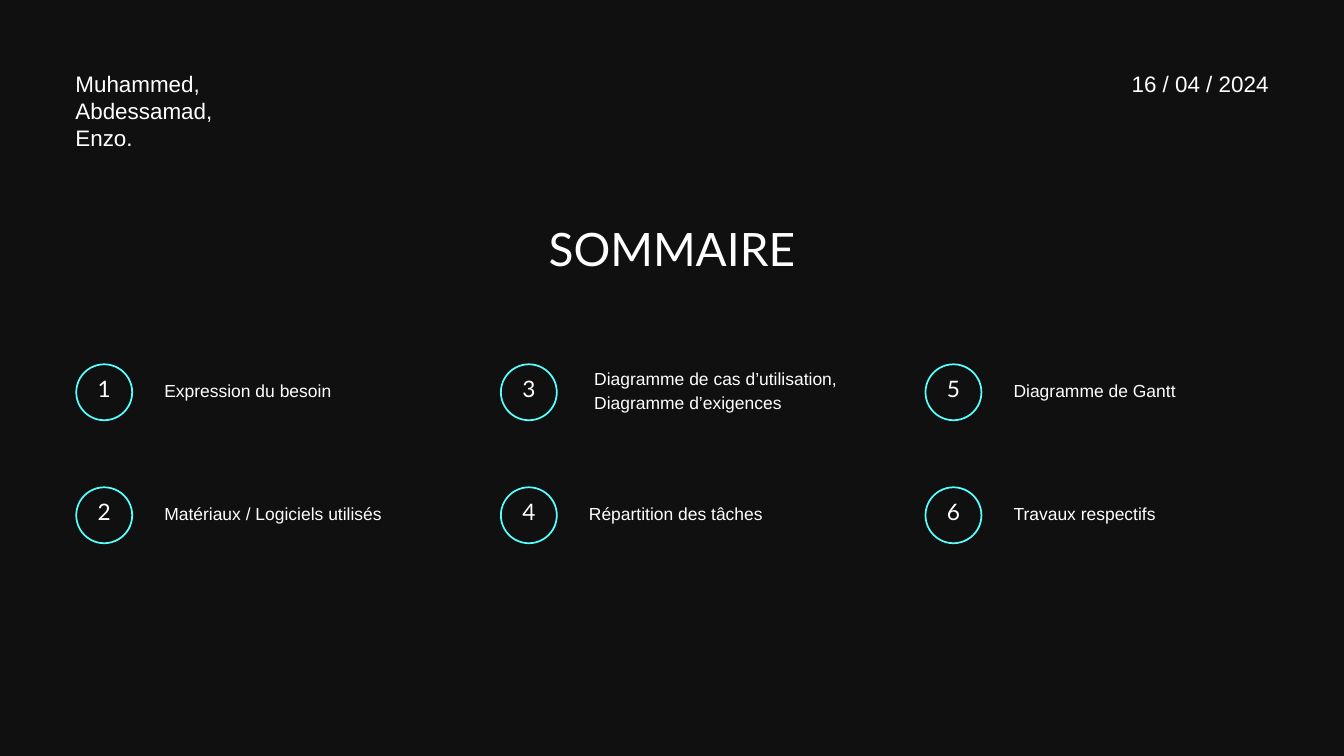
from pptx import Presentation
from pptx.dml.color import RGBColor
from pptx.enum.shapes import MSO_SHAPE
from pptx.enum.text import MSO_ANCHOR, MSO_AUTO_SIZE, PP_ALIGN
from pptx.util import Cm, Pt

TITLE = "SOMMAIRE"
AUTHORS = ["Muhammed,", "Abdessamad,", "Enzo."]
DATE = "16 / 04 / 2024"
# Lines of each topic, then its extra indent in cm
TOPICS = [
    (["Expression du besoin"], 0),
    (["Matériaux / Logiciels utilisés"], 0),
    (["Diagramme de cas d’utilisation,", "Diagramme d’exigences"], 0.2),
    (["Répartition des tâches"], 0),
    (["Diagramme de Gantt"], 0),
    (["Travaux respectifs"], 0),
]

COLORS = {"back": "101010", "text": "FFFFFF", "ring": "57FFFF"}
STYLES = {
    "title": dict(font="Lato", size=49.3, line=54.3, align=PP_ALIGN.CENTER),
    "number": dict(font="Lato", size=24.3, line=23.3, align=PP_ALIGN.CENTER),
    "topic": dict(font="Arial", size=18.7, line=26.2, align=PP_ALIGN.LEFT),
    "left": dict(font="Arial", size=24, line=28.8, align=PP_ALIGN.LEFT),
    "right": dict(font="Arial", size=24, line=28.8, align=PP_ALIGN.RIGHT),
}
FRAME = {
    "margin_left": 0, "margin_top": 0, "margin_right": 0, "margin_bottom": 0,
    "word_wrap": True,
    "auto_size": MSO_AUTO_SIZE.NONE,
    "vertical_anchor": MSO_ANCHOR.TOP,
}

WIDTH, HEIGHT = 50.8, 28.58
MARGIN, HEAD_TOP, HEAD_WIDTH = 2.85, 2.65, 10.92
GRID_TOP, ROWS, COL_STEP, ROW_STEP = 13.74, 2, 16.05, 4.65
RING, BAND = 2.18, 0.03
TOPIC_GAP, TOPIC_MID, TOPIC_WIDTH, TOPIC_LINE = 3.36, 0.97, 10.39, 0.94


def color(name):
    return RGBColor.from_string(COLORS[name])


def assign(target, values):
    for key, value in values.items():
        setattr(target, key, value)


def write(shape, lines, style):
    look = STYLES[style]
    frame = shape.text_frame
    frame.text = "\n".join(lines)
    assign(frame, FRAME)
    for par in frame.paragraphs:
        assign(par, {"alignment": look["align"], "line_spacing": Pt(look["line"]),
                     "space_before": Pt(0)})
        assign(par.font, {"name": look["font"], "size": Pt(look["size"])})
        par.font.color.rgb = color("text")


def add_text(slide, box, lines, style):
    write(slide.shapes.add_textbox(*map(Cm, box)), lines, style)


def add_ring(slide, left, top):
    ring = slide.shapes.add_shape(
        MSO_SHAPE.DONUT, Cm(left), Cm(top), Cm(RING), Cm(RING))
    ring.adjustments[0] = BAND
    ring.shadow.inherit = False
    ring.fill.solid()
    ring.fill.fore_color.rgb = color("ring")
    ring.line.fill.background()


def add_topic(slide, index, lines, indent):
    col, row = divmod(index, ROWS)
    left, top = MARGIN + col * COL_STEP, GRID_TOP + row * ROW_STEP
    add_ring(slide, left, top)
    add_text(slide, (left + 0.68, top + 0.62, RING - 1.36, 0.97),
             [str(index + 1)], "number")
    tall = TOPIC_LINE * len(lines)
    add_text(slide, (left + TOPIC_GAP + indent, top + TOPIC_MID - tall / 2,
                     TOPIC_WIDTH, tall), lines, "topic")


def main():
    deck = Presentation()
    deck.slide_width, deck.slide_height = Cm(WIDTH), Cm(HEIGHT)
    slide = deck.slides.add_slide(deck.slide_layouts[5])
    slide.background.fill.solid()
    slide.background.fill.fore_color.rgb = color("back")

    title = slide.shapes.title
    assign(title, {"left": Cm(6.1), "top": Cm(8.51),
                   "width": Cm(38.6), "height": Cm(2.11)})
    write(title, [TITLE], "title")

    add_text(slide, (MARGIN, HEAD_TOP, HEAD_WIDTH, 4.24), AUTHORS, "left")
    add_text(slide, (WIDTH - MARGIN - HEAD_WIDTH, HEAD_TOP, HEAD_WIDTH, 1.22),
             [DATE], "right")
    for index, (lines, indent) in enumerate(TOPICS):
        add_topic(slide, index, lines, indent)
    deck.save("out.pptx")


if __name__ == "__main__":
    main()
